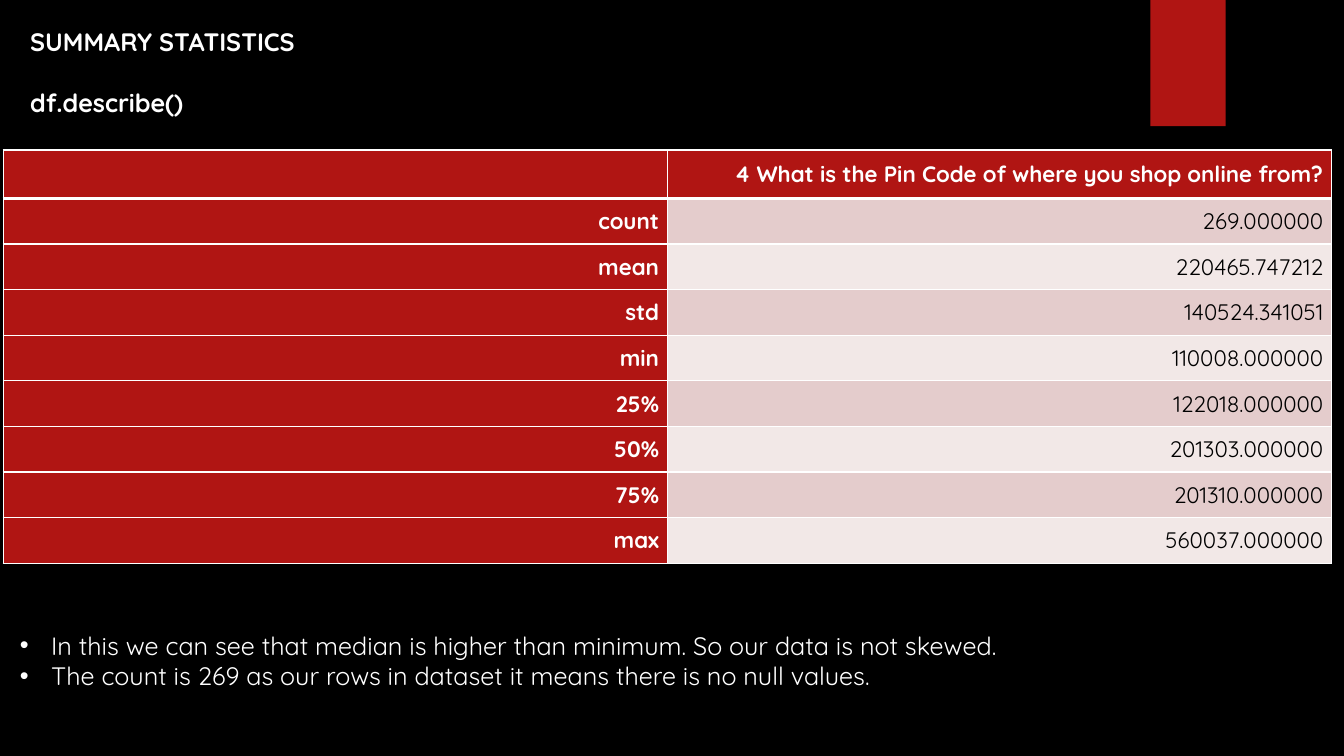
import pptx
import pptx.dml.color
import pptx.enum.shapes
import pptx.enum.text
import pptx.oxml
import pptx.oxml.ns
import pptx.util

Cm = pptx.util.Cm
Pt = pptx.util.Pt
RIGHT = pptx.enum.text.PP_ALIGN.RIGHT
COLORS = {
    "background": "000000",
    "red": "B01513",
    "white": "FFFFFF",
    "black": "000000",
    "band_dark": "E4CCCC",
    "band_light": "F2E8E7",
}


def rgb(name):
    return pptx.dml.color.RGBColor.from_string(COLORS[name])


def write(paragraph, text, size=18, color="white", bold=False, align=None, before=0, bullet=False):
    run = paragraph.add_run()
    run.text = text
    run.font.name = "Quicksand"
    run.font.size = Pt(size)
    run.font.bold = bold
    run.font.color.rgb = rgb(color)
    paragraph.alignment = align
    paragraph.space_before = Pt(before)
    if bullet:
        properties = paragraph._p.get_or_add_pPr()
        properties.set("marL", str(Cm(0.79)))
        properties.set("indent", str(-Cm(0.79)))
        for markup in ('<a:buFont %s typeface="Arial"/>', '<a:buChar %s char="•"/>'):
            properties.append(pptx.oxml.parse_xml(markup % pptx.oxml.ns.nsdecls("a")))


presentation = pptx.Presentation()
presentation.slide_width = Cm(33.87)
presentation.slide_height = Cm(19.05)
slide = presentation.slides.add_slide(presentation.slide_layouts[6])
slide.background.fill.solid()
slide.background.fill.fore_color.rgb = rgb("background")

ribbon = slide.shapes.add_shape(
    pptx.enum.shapes.MSO_SHAPE.RECTANGLE, Cm(28.99), Cm(0), Cm(1.9), Cm(3.18))
ribbon.shadow.inherit = False
ribbon.fill.solid()
ribbon.fill.fore_color.rgb = rgb("red")
ribbon.line.fill.background()

heading = slide.shapes.add_textbox(Cm(0.51), Cm(0.53), Cm(32.89), Cm(2.8)).text_frame
heading.word_wrap = True
write(heading.paragraphs[0], "SUMMARY STATISTICS", bold=True)
write(heading.add_paragraph(), "df.describe()", bold=True, before=22)

STATISTICS = [
    ("", "4 What is the Pin Code of where you shop online from?"),
    ("count", "269.000000"),
    ("mean", "220465.747212"),
    ("std", "140524.341051"),
    ("min", "110008.000000"),
    ("25%", "122018.000000"),
    ("50%", "201303.000000"),
    ("75%", "201310.000000"),
    ("max", "560037.000000"),
]
summary = slide.shapes.add_table(
    len(STATISTICS), 2, Cm(0.08), Cm(3.78), Cm(33.48), Cm(10.4)).table
for column in summary.columns:
    column.width = Cm(16.74)
for row_index, statistic in enumerate(STATISTICS):
    summary.rows[row_index].height = Cm(1.15 if row_index else 1.22)
    for column_index, text in enumerate(statistic):
        cell = summary.cell(row_index, column_index)
        is_label = row_index == 0 or column_index == 0
        band = "band_dark" if row_index % 2 else "band_light"
        cell.fill.solid()
        cell.fill.fore_color.rgb = rgb("red" if is_label else band)
        cell.vertical_anchor = pptx.enum.text.MSO_ANCHOR.MIDDLE
        cell.margin_left = cell.margin_right = Cm(0.21)
        cell.margin_top = cell.margin_bottom = Cm(0.21)
        if text:
            write(cell.text_frame.paragraphs[0], text, size=16, bold=is_label,
                  color="white" if is_label else "black", align=RIGHT, before=12)
        for position, side in enumerate("LRTB"):
            below_header = (row_index, side) in ((0, "B"), (1, "T"))
            border = pptx.oxml.parse_xml(
                f'<a:ln{side} {pptx.oxml.ns.nsdecls("a")} w="{Pt(3 if below_header else 1)}">'
                f'<a:solidFill><a:srgbClr val="{COLORS["white"]}"/></a:solidFill></a:ln{side}>')
            cell._tc.get_or_add_tcPr().insert(position, border)

findings = slide.shapes.add_textbox(Cm(0.25), Cm(15.75), Cm(33.15), Cm(1.8)).text_frame
findings.word_wrap = True
write(findings.paragraphs[0],
      "In this we can see that median is higher than minimum. So our data is not skewed.",
      bullet=True)
write(findings.add_paragraph(),
      "The count is 269 as our rows in dataset it means there is no null values.",
      bullet=True)

presentation.save("out.pptx")
